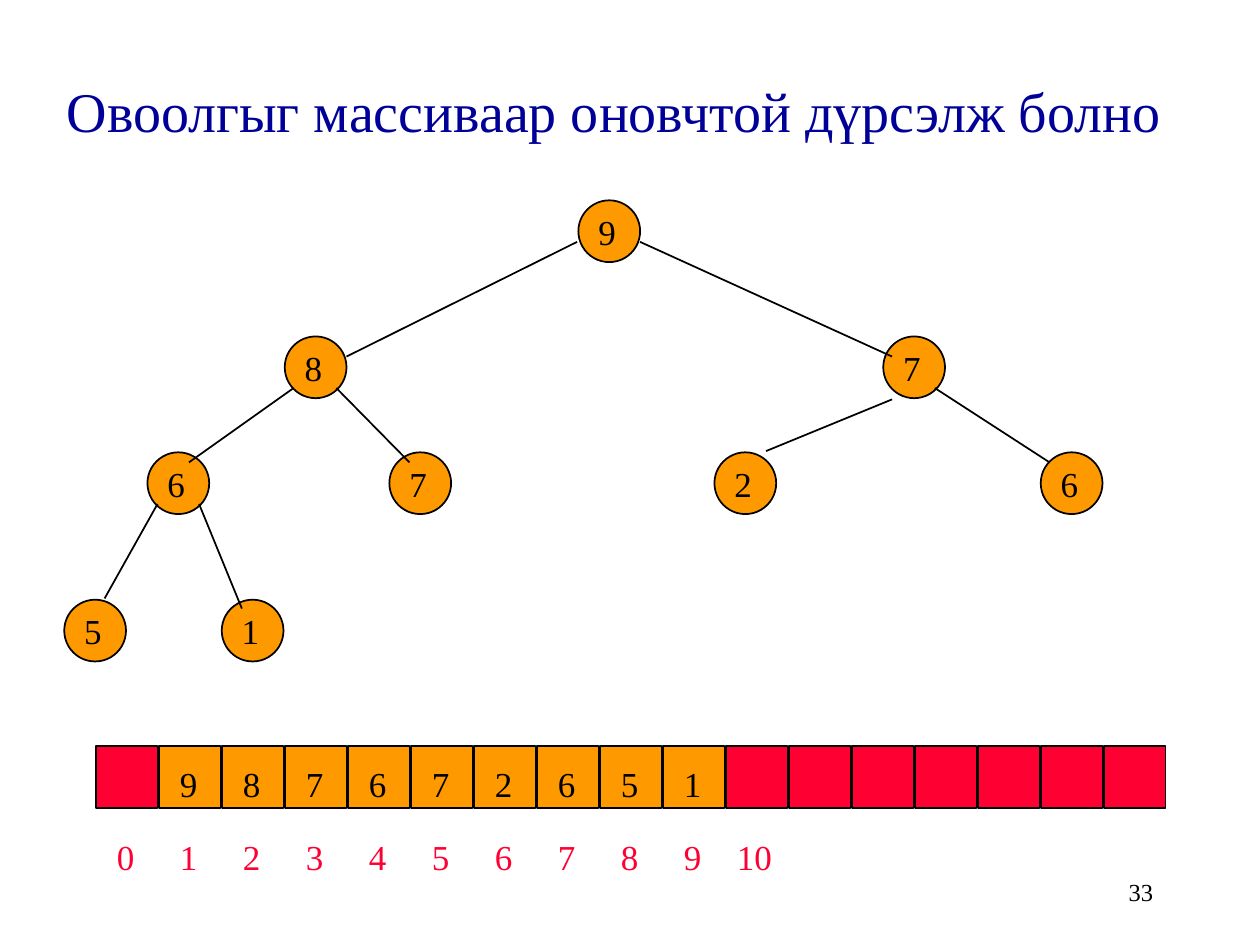
from dataclasses import dataclass

from lxml import etree
from pptx import Presentation
from pptx.dml.color import RGBColor
from pptx.enum.shapes import MSO_CONNECTOR, MSO_SHAPE
from pptx.enum.text import MSO_ANCHOR, PP_ALIGN
from pptx.oxml.ns import qn
from pptx.util import Inches, Pt

RECTANGLE, ELLIPSE = MSO_SHAPE.RECTANGLE, MSO_SHAPE.OVAL
STRAIGHT = MSO_CONNECTOR.STRAIGHT
LEFT, CENTER, RIGHT = PP_ALIGN.LEFT, PP_ALIGN.CENTER, PP_ALIGN.RIGHT
TOP, MIDDLE = MSO_ANCHOR.TOP, MSO_ANCHOR.MIDDLE


@dataclass(frozen=True)
class Theme:
    font: str = "Times New Roman"
    ink: RGBColor = RGBColor(0x00, 0x00, 0x00)
    title: RGBColor = RGBColor(0x00, 0x00, 0x99)
    used: RGBColor = RGBColor(0xFF, 0x99, 0x00)
    free: RGBColor = RGBColor(0xFF, 0x00, 0x33)
    title_size: int = 32
    body_size: int = 20
    number_size: int = 14
    line_width: int = 1


class HeapSlide:
    def __init__(self, slide, theme):
        self.shapes = slide.shapes
        self.theme = theme

    def box(self, kind, left, top, size, fill, parent=None):
        shape = (parent or self).shapes.add_shape(
            kind, Inches(left), Inches(top), Inches(size), Inches(size))
        shape.shadow.inherit = False
        shape.fill.solid()
        shape.fill.fore_color.rgb = fill
        shape.line.color.rgb = self.theme.ink
        shape.line.width = Pt(self.theme.line_width)

    def edge(self, start, end, parent):
        line = parent.shapes.add_connector(
            STRAIGHT, *(Inches(v) for v in (*start, *end)))
        line.line.color.rgb = self.theme.ink
        line.line.width = Pt(self.theme.line_width)
        etree.SubElement(line._element.spPr, qn("a:effectLst"))

    def text(self, words, left, top, width, height, color, size,
             align=LEFT, anchor=TOP, wrap=True, parent=None):
        frame = (parent or self).shapes.add_textbox(
            Inches(left), Inches(top), Inches(width), Inches(height)).text_frame
        frame.word_wrap = wrap
        frame.vertical_anchor = anchor
        frame.text = words
        paragraph = frame.paragraphs[0]
        paragraph.alignment = align
        font = paragraph.runs[0].font
        font.name = self.theme.font
        font.size = Pt(size)
        font.color.rgb = color


# Heap values in level order, shared by the array and the tree
HEAP = "987672651"
BOX_SIZE = 0.49

# Array
CELL_COUNT = 17
CELL_PITCH = 0.5
ARRAY_LEFT, ARRAY_TOP = 0.76, 5.92
VALUE_TOP, INDEX_TOP = 6, 6.58

# Tree
NODES = [(4.59, 1.59), (2.26, 2.67), (7.01, 2.67),
         (1.17, 3.59), (3.09, 3.59), (5.67, 3.59), (8.26, 3.59),
         (0.51, 4.76), (1.76, 4.76)]
EDGES = [((4.58, 1.92), (2.75, 2.83)), ((5.08, 1.92), (7.08, 2.83)),
         ((2.33, 3.08), (1.5, 3.67)), ((2.67, 3.08), (3.25, 3.67)),
         ((7.08, 3.17), (6.08, 3.58)), ((7.42, 3.08), (8.33, 3.67)),
         ((1.25, 4), (0.83, 4.75)), ((1.58, 4), (1.92, 4.83))]


def draw_array(page):
    theme = page.theme
    cell_lefts = [ARRAY_LEFT + i * CELL_PITCH for i in range(CELL_COUNT)]
    for index, left in enumerate(cell_lefts):
        fill = theme.used if 1 <= index <= len(HEAP) else theme.free
        page.box(RECTANGLE, left, ARRAY_TOP, BOX_SIZE, fill)
    for value, left in zip(HEAP, cell_lefts[1:]):
        page.text(value, left + 0.07, VALUE_TOP, 0.33, 0.43,
                  theme.ink, theme.body_size)
    # Indices run from 0 to the first free cell after the heap
    for index, left in enumerate(cell_lefts[:len(HEAP) + 2]):
        offset, width = (0.07, 0.33) if index < 10 else (-0.01, 0.58)
        page.text(str(index), left + offset, INDEX_TOP, width, 0.43,
                  theme.free, theme.body_size)


def draw_tree(page):
    theme = page.theme
    tree = page.shapes.add_group_shape()
    for left, top in NODES:
        page.box(ELLIPSE, left, top, BOX_SIZE, theme.used, tree)
    for start, end in EDGES:
        page.edge(start, end, tree)
    for value, (left, top) in zip(HEAP, NODES):
        page.text(value, left + 0.06, top + 0.03, 0.34, 0.43,
                  theme.ink, theme.body_size, wrap=False, parent=tree)


def main():
    deck = Presentation()
    deck.slide_width, deck.slide_height = Inches(10), Inches(7.5)
    theme = Theme()
    page = HeapSlide(deck.slides.add_slide(deck.slide_layouts[6]), theme)

    draw_array(page)
    # Title
    page.text("Овоолгыг массиваар оновчтой дүрсэлж болно", 0, 0.25, 9.75, 1.25,
              theme.title, theme.title_size, CENTER, MIDDLE)
    draw_tree(page)
    # Slide number
    page.text("33", 7.17, 6.83, 2.08, 0.5, theme.ink, theme.number_size,
              RIGHT, MIDDLE)

    deck.save("out.pptx")


if __name__ == "__main__":
    main()
